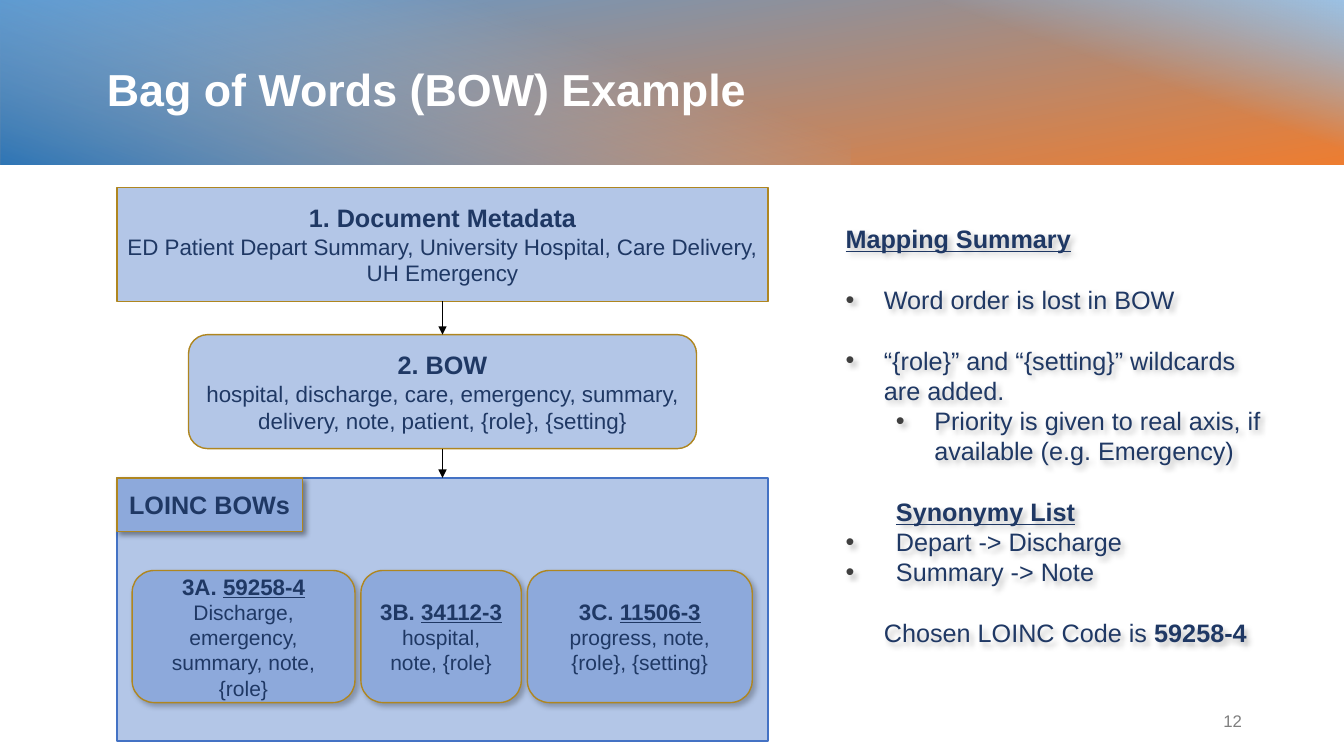
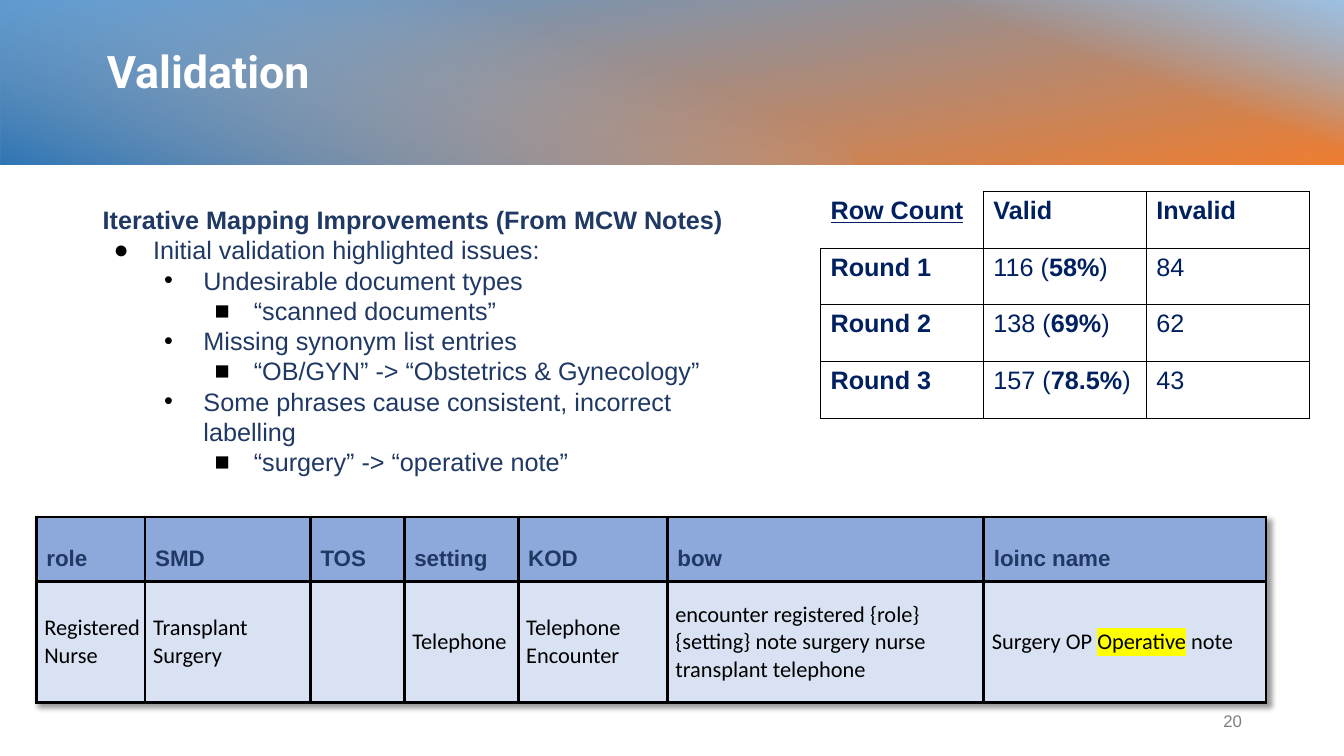
"""Build two slides on mapping clinical documents to LOINC with bags of words."""
from pptx import Presentation
from pptx.dml.color import RGBColor
from pptx.enum.shapes import MSO_CONNECTOR, MSO_SHAPE
from pptx.enum.text import MSO_ANCHOR, MSO_AUTO_SIZE, PP_ALIGN
from pptx.oxml import parse_xml
from pptx.oxml.ns import nsdecls, qn
from pptx.util import Inches, Pt

WHITE = RGBColor(0xFF, 0xFF, 0xFF)
BLACK = RGBColor(0x00, 0x00, 0x00)
GRAY = RGBColor(0x7F, 0x7F, 0x7F)
CHARCOAL = RGBColor(0x3F, 0x3F, 0x3F)
NAVY = RGBColor(0x1F, 0x38, 0x64)
DEEP_NAVY = RGBColor(0x00, 0x20, 0x60)
GOLD = RGBColor(0xAF, 0x86, 0x20)
BLUE = RGBColor(0x44, 0x72, 0xC4)
MID_BLUE = RGBColor(0x8D, 0xA9, 0xDB)
PALE_BLUE = RGBColor(0xB3, 0xC6, 0xE7)
ICE_BLUE = RGBColor(0xD9, 0xE2, 0xF3)
SKY = RGBColor(0x5B, 0x9B, 0xD5)
LIGHT_SKY = RGBColor(0x9C, 0xC2, 0xE5)
OCEAN = RGBColor(0x2E, 0x75, 0xB5)
ORANGE = RGBColor(0xED, 0x7D, 0x31)
YELLOW = RGBColor(0xFF, 0xFF, 0x00)

BANDS = [
    (0, 100, 270, 170, [(0, SKY, 100), (100, ORANGE, 100)]),
    (58.54, 41.46, 270, 20,
     [(0, LIGHT_SKY, 0), (59, LIGHT_SKY, 0), (100, LIGHT_SKY, 100)]),
    (0, 63.3, 90, 20,
     [(0, LIGHT_SKY, 0), (29, LIGHT_SKY, 0), (100, OCEAN, 100)]),
]
BAND_HEIGHT = 21.8


def element(tag, inner="", **attributes):
    """Return a drawing element with the given attributes and inner XML."""
    listed = " ".join(f'{key}="{value}"' for key, value in attributes.items())
    return parse_xml(f'<a:{tag} {nsdecls("a")} {listed}>{inner}</a:{tag}>')


def color_xml(color, alpha=100):
    """Return the XML of a colour with its opacity in percent."""
    return f'<a:srgbClr val="{color}"><a:alpha val="{alpha * 1000}"/></a:srgbClr>'


def shadow_xml(alpha):
    """Return a soft shadow falling to the lower right."""
    return element("outerShdw", color_xml(BLACK, alpha), blurRad=Pt(4),
                   dist=Pt(3), dir=45 * 60000, algn="tl", rotWithShape=0)


def line(*parts, **layout):
    """Return one paragraph: its parts and its layout."""
    return parts, layout


def write(frame, lines, size=18, color=NAVY, font="Arial", bold=False,
          align=PP_ALIGN.LEFT, anchor=MSO_ANCHOR.TOP, spacing=None, bullet_color=BLACK):
    """Fill a text frame; a part is text, or text with marks b, u or h."""
    frame.word_wrap = True
    frame.auto_size = MSO_AUTO_SIZE.NONE
    frame.vertical_anchor = anchor
    for index, (parts, layout) in enumerate(lines):
        paragraph = frame.paragraphs[0] if index == 0 else frame.add_paragraph()
        paragraph.alignment = align
        paragraph.line_spacing = spacing
        paragraph.level = layout.get("level", 0)
        if "before" in layout:
            paragraph.space_before = Pt(layout["before"])
        properties = paragraph._p.get_or_add_pPr()
        properties.set("marL", str(Deck.across(layout.get("left", 0))))
        properties.set("indent", str(-Deck.across(layout.get("hang", 0))))
        if "bullet" in layout:
            properties.append(element("buClr", color_xml(bullet_color)))
            properties.append(element("buFont", typeface="Arial"))
            properties.append(element("buChar", char=layout["bullet"]))
        for part in parts:
            words, marks = (part, "") if isinstance(part, str) else part
            run = paragraph.add_run()
            run.text = words
            run.font.size = Pt(layout.get("size", size))
            run.font.name = font
            run.font.bold = bold or "b" in marks
            run.font.underline = "u" in marks
            run.font.color.rgb = color
            if "h" in marks:
                latin = run.font._element.find(qn("a:latin"))
                latin.addprevious(element("highlight", color_xml(YELLOW)))


class Deck:
    """Hold the shared style and the current slide; lengths are percent shares."""

    WIDTH, HEIGHT = Inches(13.333), Inches(7.5)

    def __init__(self):
        """Start an empty wide presentation."""
        self.file = Presentation()
        self.file.slide_width, self.file.slide_height = self.WIDTH, self.HEIGHT
        self.slide = None

    @classmethod
    def across(cls, share):
        """Turn a share of the width into a length."""
        return round(cls.WIDTH * share / 100)

    @classmethod
    def down(cls, share):
        """Turn a share of the height into a length."""
        return round(cls.HEIGHT * share / 100)

    def area(self, left, top, width, height):
        """Turn four shares into a position and a size."""
        return self.across(left), self.down(top), self.across(width), self.down(height)

    def start(self, heading, number, font="Arial", height=14.67):
        """Add a slide with its bands, title and number."""
        self.slide = self.file.slides.add_slide(self.file.slide_layouts[5])
        for band in BANDS:
            self.band(*band)
        title = self.slide.shapes.title
        title.left, title.top, title.width, title.height = self.area(7.2, 4.4, 85.95, height)
        write(title.text_frame, [line(heading)], size=32, color=WHITE, font=font,
              bold=True, anchor=MSO_ANCHOR.MIDDLE)
        self.slide.shapes._spTree.append(title._element)
        self.text((70.65, 92.67, 22.5, 5.33), [line(number)], size=12, color=GRAY,
                  align=PP_ALIGN.RIGHT, anchor=MSO_ANCHOR.MIDDLE)

    def band(self, left, width, rotation, angle, stops):
        """Add a turned gradient rectangle across the top."""
        x, y, wide, tall = self.area(left, 0, width, BAND_HEIGHT)
        band = self.slide.shapes.add_shape(
            MSO_SHAPE.RECTANGLE, x + (wide - tall) // 2, y + (tall - wide) // 2, tall, wide)
        band.rotation = rotation
        band.shadow.inherit = False
        band.line.fill.background()
        stop_xml = "".join(f'<a:gs pos="{at * 1000}">{color_xml(color, alpha)}</a:gs>'
                           for at, color, alpha in stops)
        gradient = element("gradFill", f'<a:gsLst>{stop_xml}</a:gsLst>'
                           f'<a:lin ang="{angle * 60000}" scaled="0"/>', rotWithShape=1)
        band._element.spPr.find(qn("a:prstGeom")).addnext(gradient)

    def text(self, area, lines, shadow=0, **style):
        """Add a text box."""
        box = self.slide.shapes.add_textbox(*self.area(*area))
        if shadow:
            effects = element("effectLst")
            effects.append(shadow_xml(shadow))
            box._element.spPr.append(effects)
        write(box.text_frame, lines, **style)

    def box(self, area, lines=(), rounded=False, fill=PALE_BLUE, edge=GOLD, shadow=0):
        """Add a filled rectangle with centred text."""
        preset = MSO_SHAPE.ROUNDED_RECTANGLE if rounded else MSO_SHAPE.RECTANGLE
        box = self.slide.shapes.add_shape(preset, *self.area(*area))
        box.fill.solid()
        box.fill.fore_color.rgb = fill
        box.line.color.rgb = edge
        box.line.width = Pt(1)
        box.shadow.inherit = False
        if shadow:
            box._element.spPr.find(qn("a:effectLst")).append(shadow_xml(shadow))
        write(box.text_frame, lines, align=PP_ALIGN.CENTER, anchor=MSO_ANCHOR.MIDDLE)
        return box

    def arrow(self, upper, lower):
        """Join the bottom of one box to the top of another."""
        arrow = self.slide.shapes.add_connector(MSO_CONNECTOR.STRAIGHT, 0, 0, 0, 0)
        arrow.begin_connect(upper, 2)
        arrow.end_connect(lower, 0)
        arrow.line.color.rgb = BLACK
        arrow.line.width = Pt(0.75)
        arrow.line._get_or_add_ln().append(element("tailEnd", type="triangle"))
        arrow._element.spPr.append(element("effectLst"))

    def table(self, left, top, columns, rows, border, shadow=0, open_corner=False):
        """Add a ruled table; each row is a height, its cells and its style."""
        height = sum(row[0] for row in rows)
        frame = self.slide.shapes.add_table(
            len(rows), len(columns), *self.area(left, top, sum(columns), height))
        table = frame.table
        table.first_row = table.horz_banding = False
        if shadow:
            effects = element("effectLst")
            effects.append(shadow_xml(shadow))
            table._tbl.tblPr.insert(0, effects)
        for column, width in zip(table.columns, columns):
            column.width = self.across(width)
        for r, (row_height, cells, style) in enumerate(rows):
            table.rows[r].height = self.down(row_height)
            for c, parts in enumerate(cells):
                hidden = "LT" if open_corner and r == c == 0 else ""
                self.cell(table.cell(r, c), parts, border, hidden, **style)

    def cell(self, cell, parts, border, hidden, fill=None, pad=(0.1, 0.05, 0.1, 0.05),
             anchor=MSO_ANCHOR.TOP, **style):
        """Rule, fill and write one table cell."""
        for side in "LRTB":
            paint = ("<a:noFill/>" if side in hidden
                     else f"<a:solidFill>{color_xml(BLACK)}</a:solidFill>")
            cell._tc.get_or_add_tcPr().append(element(f"ln{side}", paint, w=Pt(border)))
        if fill is None:
            cell.fill.background()
        else:
            cell.fill.solid()
            cell.fill.fore_color.rgb = fill
        cell.margin_left, cell.margin_top, cell.margin_right, cell.margin_bottom = map(Inches, pad)
        if parts:
            write(cell.text_frame, [line(*parts)], **style)
        cell.vertical_anchor = anchor


def bow_example(deck):
    """Draw the bag of words flow and its summary."""
    deck.start("Bag of Words (BOW) Example", "12")
    left, width = 8.7, 48.45
    bow_width = 37.8
    metadata = deck.box((left, 24.8, width, 15.07), [
        line(("1. Document Metadata", "b")),
        line("ED Patient Depart Summary, University Hospital, Care Delivery, UH Emergency",
             size=16)])
    bow = deck.box((left + (width - bow_width) / 2, 44.27, bow_width, 15.07), [
        line(("2. BOW", "b")),
        line("hospital, discharge, care, emergency, summary, delivery, note, patient, "
             "{role}, {setting}", size=16)], rounded=True)
    loinc = deck.box((left, 63.2, width, 34.8), edge=BLUE)
    deck.arrow(metadata, bow)
    deck.arrow(bow, loinc)
    deck.box((left, 63.2, 13.8, 7.07), [line(("LOINC BOWs", "b"))], fill=MID_BLUE, shadow=40)
    candidate_left, gap = 9.83, 0.45
    for label, code, words, candidate_width in [
            ("3A. ", "59258-4", "Discharge, emergency, summary, note, {role}", 16.58),
            ("3B. ", "34112-3", "hospital, note, {role}", 11.93),
            ("3C. ", "11506-3", "progress, note, {role}, {setting}", 16.73)]:
        deck.box((candidate_left, 75.47, candidate_width, 17.47),
                 [line((label, "b"), (code, "bu"), size=16), line(words, size=15)],
                 rounded=True, fill=MID_BLUE, shadow=25)
        candidate_left += candidate_width + gap
    blank = 21.7
    point = dict(left=2.85, hang=2.85, bullet="•")
    synonym = dict(left=3.75, hang=3.75, bullet="•", level=1)
    deck.text((62.18, 28.93, 32.63, 57.87), [
        line(("Mapping Summary", "bu")),
        line("Word order is lost in BOW", before=blank, **point),
        line("“{role}” and “{setting}” wildcards are added.", before=blank, **point),
        line("Priority is given to real axis, if available (e.g. Emergency)",
             left=6.6, hang=2.85, bullet="•", level=1),
        line(("Synonymy List", "bu"), left=3.75, level=1, before=blank),
        line("Depart -> Discharge", **synonym),
        line("Summary -> Note", **synonym),
        line("Chosen LOINC Code is ", ("59258-4", "b"), left=2.85, before=blank),
    ], shadow=25, bullet_color=CHARCOAL)


def validation(deck):
    """Draw the validation findings and both tables."""
    deck.start("Validation", "20", font="Roboto", height=9.87)
    hang = 2.93
    issue = dict(left=11.25, hang=hang, bullet="•", level=1)
    example = dict(left=15, hang=hang, bullet="■", level=2)
    deck.text((3.15, 26.4, 54.6, 40.8), [
        line(("Iterative Mapping Improvements (From MCW Notes)", "b"), left=3.75, level=1),
        line("Initial validation highlighted issues:", left=7.5, hang=hang, bullet="●"),
        line("Undesirable document types", **issue),
        line("“scanned documents”", **example),
        line("Missing synonym list entries", **issue),
        line("“OB/GYN” -> “Obstetrics & Gynecology”", **example),
        line("Some phrases cause consistent, incorrect labelling", **issue),
        line("“surgery” -> “operative note”", **example)])
    header = dict(fill=MID_BLUE, pad=(0.1, 0.1, 0.03, 0.1), anchor=MSO_ANCHOR.BOTTOM,
                  size=16, bold=True, spacing=1.15)
    record = dict(fill=ICE_BLUE, pad=(0.08, 0.08, 0.03, 0.08), anchor=MSO_ANCHOR.MIDDLE,
                  size=16, color=BLACK, font="Calibri")
    names = ["role", "SMD", "TOS", "setting", "KOD", "bow", "loinc name"]
    values = [["Registered Nurse"], ["Transplant Surgery"], [], ["Telephone"],
              ["Telephone Encounter"],
              ["encounter registered {role} {setting} note surgery nurse transplant telephone"],
              ["Surgery OP ", ("Operative", "h"), " note"]]
    deck.table(2.7, 68.4, [8.1, 12.3, 6.98, 8.48, 11.1, 23.55, 21],
               [(8.53, [[name] for name in names], header), (16, values, record)],
               border=2.25, shadow=40)
    count = dict(color=DEEP_NAVY)
    rounds = [("116", "58%", "84"), ("138", "69%", "62"), ("157", "78.5%", "43")]
    rows = [(7.5, [[("Row Count", "bu")], [("Valid", "b")], [("Invalid", "b")]], count)]
    rows += [(7.5, [[(f"Round {number}", "b")], [f"{valid} (", (share, "b"), ")"], [invalid]],
              count) for number, (valid, share, invalid) in enumerate(rounds, 1)]
    deck.table(61.05, 25.33, [12.12] * 3, rows, border=1, open_corner=True)


def main():
    """Build and save the deck."""
    deck = Deck()
    bow_example(deck)
    validation(deck)
    deck.file.save("out.pptx")


if __name__ == "__main__":
    main()
